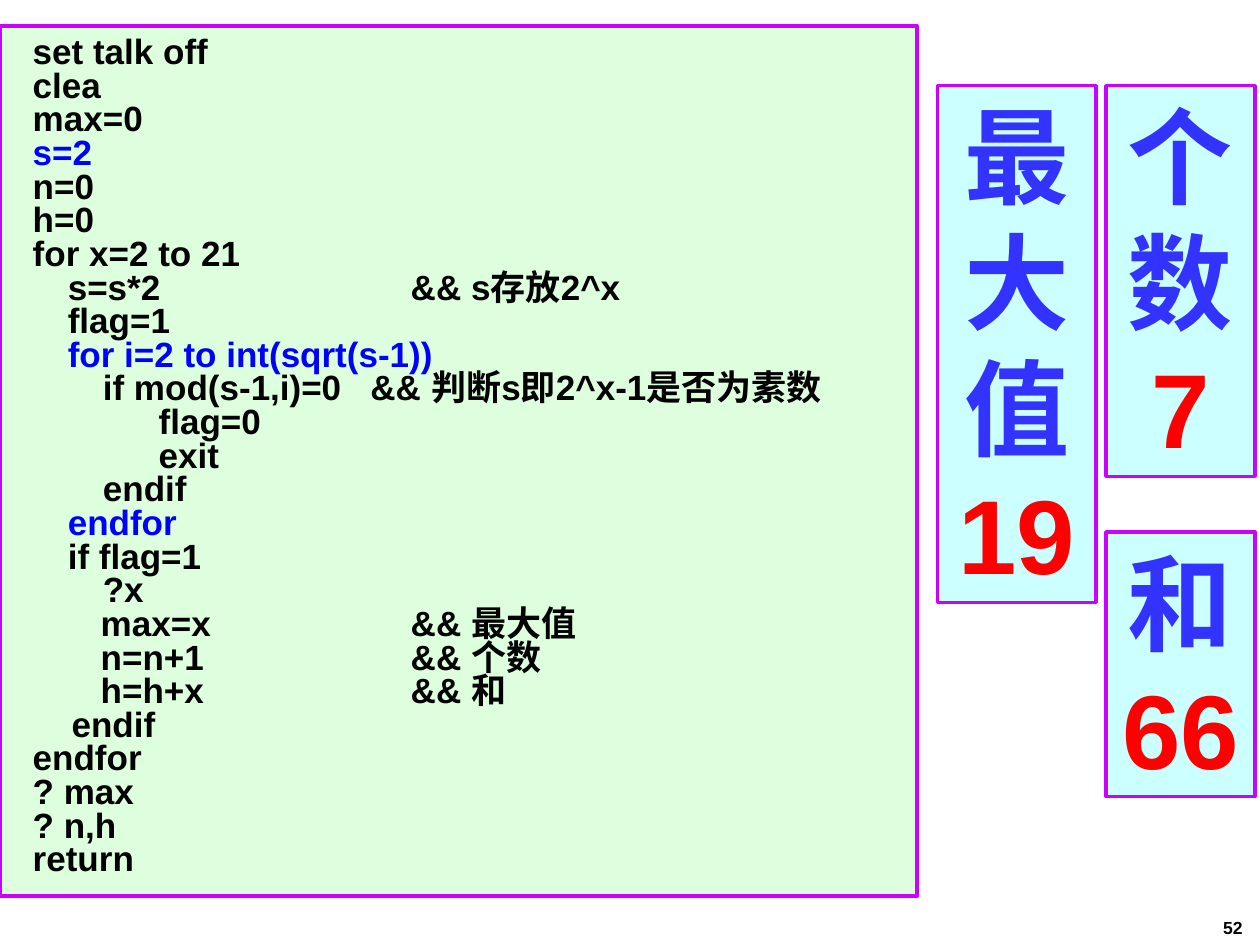
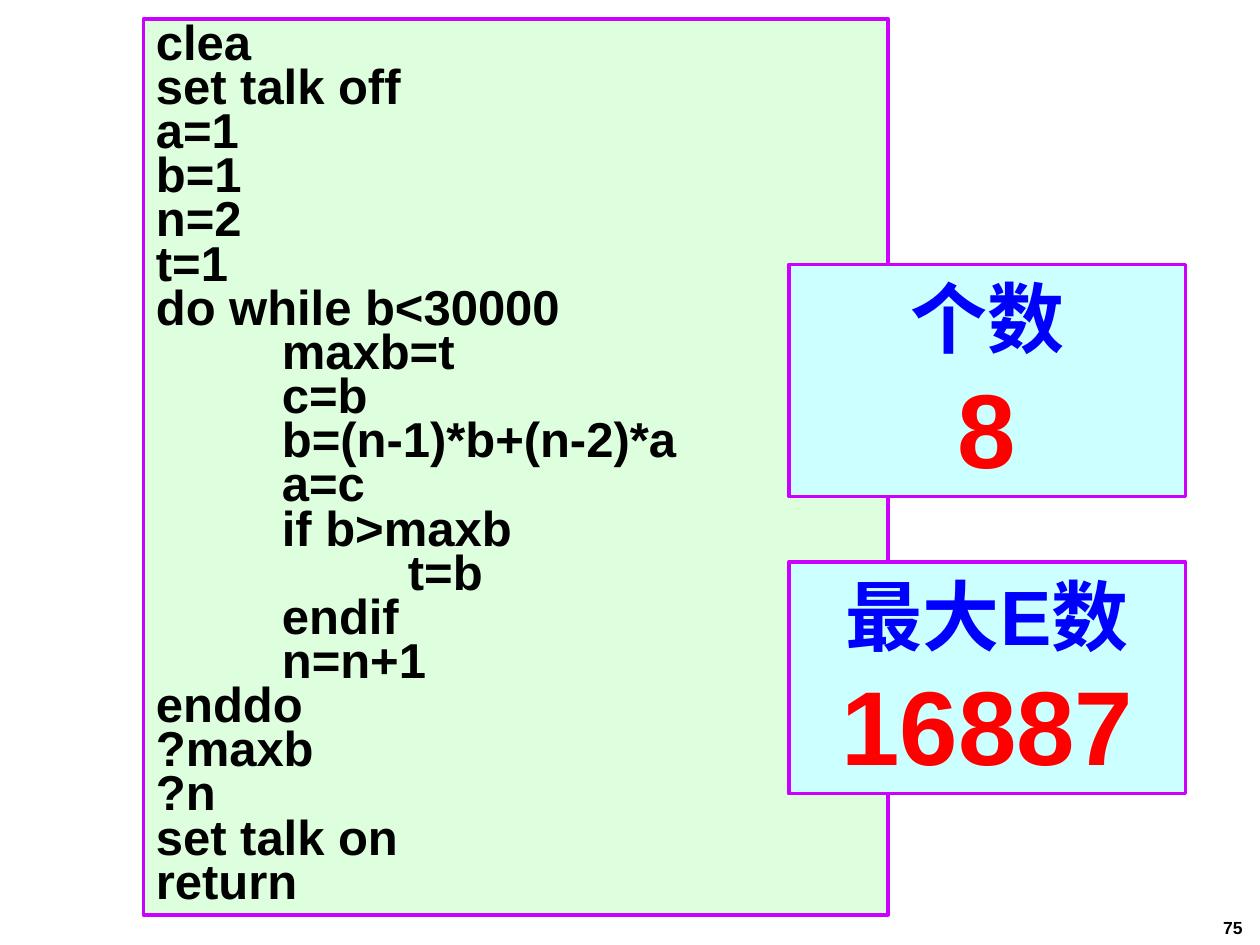
from dataclasses import dataclass

from lxml.etree import SubElement
from pptx import Presentation
from pptx.dml.color import RGBColor
from pptx.enum.shapes import MSO_SHAPE as SHAPE
from pptx.enum.text import MSO_ANCHOR as ANCHOR
from pptx.enum.text import MSO_AUTO_SIZE as AUTO
from pptx.enum.text import PP_ALIGN as ALIGN
from pptx.oxml.ns import qn
from pptx.util import Pt

COLORS = {
    "black": "000000",
    "blue": "0000FF",
    "violet": "3333FF",
    "red": "FF0000",
    "border": "CC00FF",
    "code": "DDFFDD",
    "answer": "CCFFFF",
}
FONT = "Arial"
TAB_STEP = 72
TAB_COUNT = 7

PRIME_CODE = [
    "set talk off",
    "clea",
    "max=0",
    "s=2",
    "n=0",
    "h=0",
    "for x=2 to 21",
    "　s=s*2   \t\t&& s存放2^x",
    "　flag=1",
    "　for i=2 to int(sqrt(s-1))",
    "　　if mod(s-1,i)=0   && 判断s即2^x-1是否为素数",
    "\tflag=0",
    "\texit",
    "　　endif",
    "　endfor",
    "　if flag=1",
    "　　?x",
    "       max=x          \t&& 最大值",
    "       n=n+1 \t\t&& 个数",
    "       h=h+x \t\t&& 和",
    "    endif",
    "endfor",
    "? max",
    "? n,h",
    "return",
]
PRIME_BLUE = {"s=2", "　for i=2 to int(sqrt(s-1))", "　endfor"}

SEQUENCE_CODE = [
    "clea",
    "set talk off",
    "a=1",
    "b=1",
    "n=2",
    "t=1",
    "do while b<30000",
    "\tmaxb=t",
    "\tc=b",
    "\tb=(n-1)*b+(n-2)*a",
    "\ta=c",
    "\tif b>maxb",
    "\t\tt=b",
    "\tendif",
    "\tn=n+1",
    "enddo",
    "?maxb",
    "?n",
    "set talk on",
    "return",
]


@dataclass
class Run:
    text: str
    size: float
    color: str = "black"


@dataclass
class Panel:
    left: float
    top: float
    width: float
    height: float
    paragraphs: list[list[Run]]
    fill: str = "answer"
    border: float = 2
    align: ALIGN = ALIGN.CENTER
    spacing: float = 1
    inset_left: float = 7.2
    inset_top: float = 3.6
    grow: bool = True


def rgb(name: str) -> RGBColor:
    return RGBColor.from_string(COLORS[name])


def add_tabs(p) -> None:
    tabs = SubElement(p._p.get_or_add_pPr(), qn("a:tabLst"))
    for i in range(1, TAB_COUNT + 1):
        SubElement(tabs, qn("a:tab"), pos=str(Pt(i * TAB_STEP)), algn="l")


def write(tf, paragraphs: list[list[Run]], align: ALIGN, spacing: float = 1) -> None:
    for i, runs in enumerate(paragraphs):
        p = tf.add_paragraph() if i else tf.paragraphs[0]
        p.alignment = align
        p.line_spacing = spacing
        add_tabs(p)
        for run in runs:
            r = p.add_run()
            r.text = run.text
            r.font.name = FONT
            r.font.size = Pt(run.size)
            r.font.bold = True
            r.font.color.rgb = rgb(run.color)


def add_panel(slide, panel: Panel) -> None:
    sp = slide.shapes.add_shape(
        SHAPE.RECTANGLE, Pt(panel.left), Pt(panel.top), Pt(panel.width), Pt(panel.height))
    sp.shadow.inherit = False
    sp.fill.solid()
    sp.fill.fore_color.rgb = rgb(panel.fill)
    sp.line.color.rgb = rgb("border")
    sp.line.width = Pt(panel.border)
    tf = sp.text_frame
    tf.word_wrap = True
    tf.auto_size = AUTO.SHAPE_TO_FIT_TEXT if panel.grow else AUTO.NONE
    tf.vertical_anchor = ANCHOR.TOP
    tf.margin_left, tf.margin_right = Pt(panel.inset_left), Pt(7.2)
    tf.margin_top = tf.margin_bottom = Pt(panel.inset_top)
    write(tf, panel.paragraphs, panel.align, panel.spacing)


def add_page_number(slide, number: int) -> None:
    sp = slide.shapes.add_textbox(Pt(689), Pt(519.8), Pt(31), Pt(20.2))
    tf = sp.text_frame
    tf.word_wrap = True
    tf.vertical_anchor = ANCHOR.MIDDLE
    write(tf, [[Run(str(number), 10)]], ALIGN.CENTER)


def code_lines(lines: list[str], size: float, blue: set[str] = frozenset()) -> list[list[Run]]:
    return [[Run(line, size, "blue" if line in blue else "black")] for line in lines]


def label_and_value(label: str, value: str, size: float, color: str) -> list[list[Run]]:
    return [[Run(label, size, color)], [Run(value, 60, "red")]]


PAGES = {
    52: [
        Panel(0, 15.1, 524.2, 496.8, code_lines(PRIME_CODE, 20, PRIME_BLUE),
              fill="code", border=2.25, align=ALIGN.LEFT, spacing=0.8,
              inset_left=18.7, inset_top=6.5, grow=False),
        Panel(632, 304, 85, 151.2, label_and_value("和", "66", 60, "violet")),
        Panel(632, 49, 85, 223.2, label_and_value("个数", "7", 60, "violet")),
        Panel(535.7, 49, 90.7, 295.2,
              [[Run("最大值", 60, "violet"), Run("19", 60, "red")]]),
    ],
    75: [
        Panel(82, 10.8, 425.5, 512, code_lines(SEQUENCE_CODE, 28),
              fill="code", align=ALIGN.LEFT, spacing=0.75),
        Panel(450.7, 151.2, 226.8, 132.5, label_and_value("个数", "8", 44, "blue")),
        Panel(450.7, 321.1, 226.8, 132.5, label_and_value("最大E数", "16887", 44, "blue")),
    ],
}


def main() -> None:
    prs = Presentation()
    prs.slide_width, prs.slide_height = Pt(720), Pt(540)
    for number, panels in PAGES.items():
        slide = prs.slides.add_slide(prs.slide_layouts[6])
        add_page_number(slide, number)
        for panel in panels:
            add_panel(slide, panel)
    prs.save("out.pptx")


if __name__ == "__main__":
    main()
